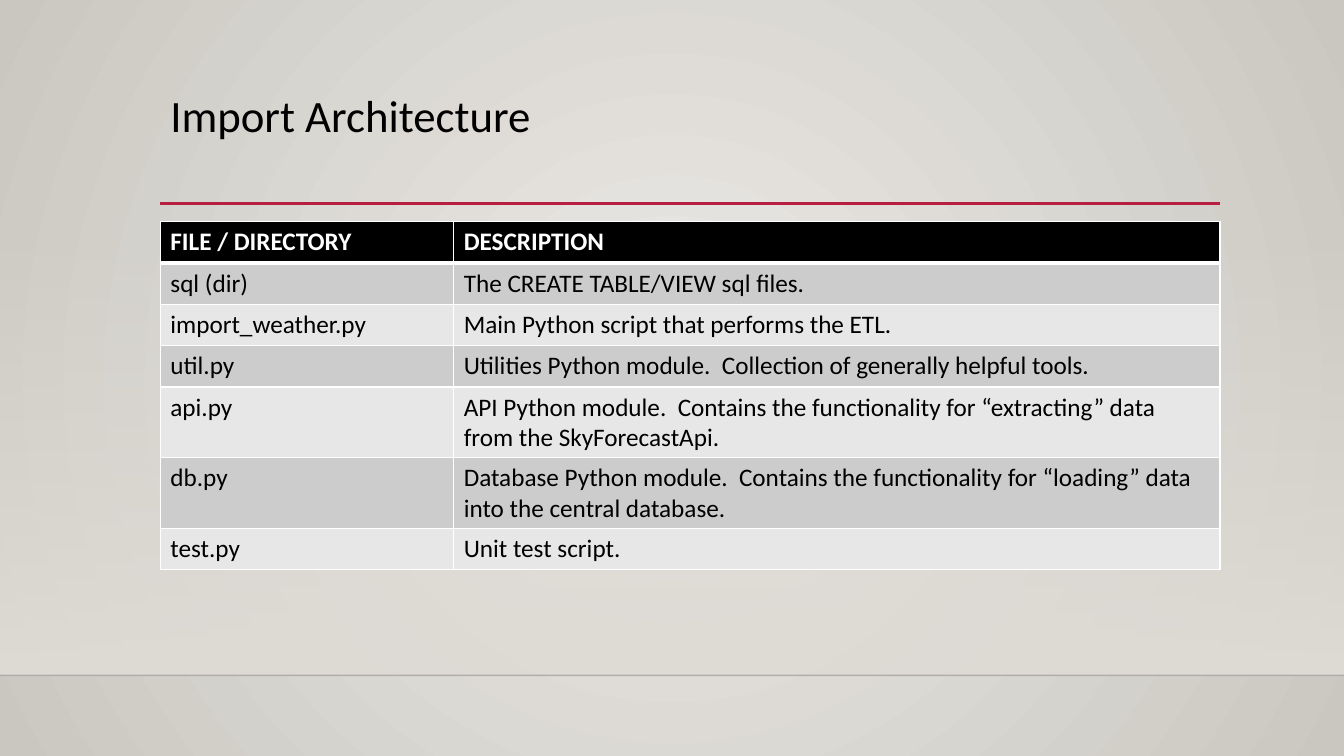
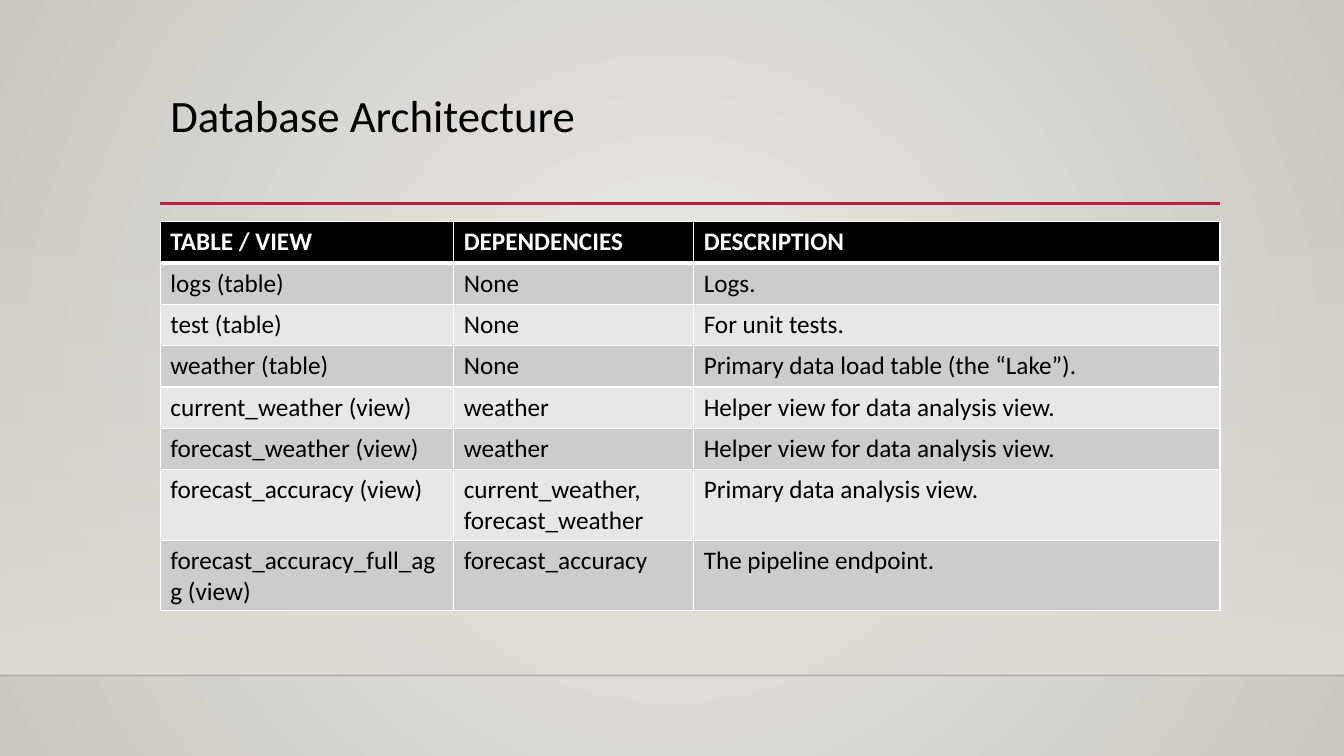
import pptx
import pptx.dml.color
import pptx.enum.shapes
import pptx.enum.text
import pptx.oxml
import pptx.oxml.ns
import pptx.util
from pptx.util import Inches

# Content
SLIDES = [
    {
        "title": "Import Architecture",
        "column_widths": [2.91, 7.6],
        "rows": [
            ("FILE / DIRECTORY", "DESCRIPTION"),
            ("sql (dir)", "The CREATE TABLE/VIEW sql files."),
            ("import_weather.py", "Main Python script that performs the ETL."),
            ("util.py", "Utilities Python module.  Collection of generally helpful tools."),
            ("api.py", "API Python module.  Contains the functionality for “extracting” "
                       "data from the SkyForecastApi."),
            ("db.py", "Database Python module.  Contains the functionality for “loading” "
                      "data into the central database."),
            ("test.py", "Unit test script."),
        ],
    },
    {
        "title": "Database Architecture",
        "column_widths": [2.91, 2.38, 5.22],
        "rows": [
            ("TABLE / VIEW", "DEPENDENCIES", "DESCRIPTION"),
            ("logs (table)", "None", "Logs."),
            ("test (table)", "None", "For unit tests."),
            ("weather (table)", "None", "Primary data load table (the “Lake”)."),
            ("current_weather (view)", "weather", "Helper view for data analysis view."),
            ("forecast_weather (view)", "weather", "Helper view for data analysis view."),
            ("forecast_accuracy (view)", "current_weather, forecast_weather",
             "Primary data analysis view."),
            ("forecast_accuracy_full_agg (view)", "forecast_accuracy", "The pipeline endpoint."),
        ],
    },
]

# Shared style
FONT = "Calibri"
BLACK, WHITE, RED = "000000", "FFFFFF", "B71E42"
BACKGROUND = ("ECEAE7", "CAC7C1")
BAND = "DFDBD5"
ROW_FILLS = ("E7E7E7", "CCCCCC")
SLIDE_WIDTH, SLIDE_HEIGHT = 13.33, 7.5
LEFT, CONTENT_WIDTH = 1.59, 10.51
TITLE_TOP, TITLE_HEIGHT, RULE_TOP = 0.88, 1.15, 2.02
TABLE_TOP, ROW_HEIGHT = 2.2, 0.41
BAND_TOP, BAND_BOTTOM = 2.21, 6.7


def color(value):
    return pptx.dml.color.RGBColor.from_string(value)


def element(markup):
    namespaces = pptx.oxml.ns.nsdecls("a")
    return pptx.oxml.parse_xml(markup.replace(">", f" {namespaces}>", 1)
                               if "/>" not in markup.split(">")[0] + ">"
                               else markup.replace("/>", f" {namespaces}/>", 1))


def set_alpha(color_parent, percent):
    for rgb in color_parent.iter(pptx.oxml.ns.qn("a:srgbClr")):
        rgb.append(element(f'<a:alpha val="{percent * 1000}"/>'))


def set_gradient(fill, start, end):
    fill.gradient()
    for stop, position, value in zip(fill.gradient_stops, (0, 1), (start, end)):
        stop.position = position
        stop.color.rgb = color(value)


def format_text(paragraph, size, value, bold=False):
    for run in paragraph.runs:
        run.font.name = FONT
        run.font.size = pptx.util.Pt(size)
        run.font.bold = bold
        run.font.color.rgb = color(value)


def paint_background(master):
    fill = master.background.fill
    set_gradient(fill, *BACKGROUND)
    linear = next(master.element.cSld.iter(pptx.oxml.ns.qn("a:lin")))
    linear.getparent().replace(linear, element(
        '<a:path path="circle">'
        '<a:fillToRect l="50000" t="50000" r="50000" b="50000"/></a:path>'))


def add_rule(slide, left, top, width, value, weight, alpha=100):
    rule = slide.shapes.add_connector(
        pptx.enum.shapes.MSO_CONNECTOR.STRAIGHT,
        Inches(left), Inches(top), Inches(left + width), Inches(top))
    rule.line.color.rgb = color(value)
    rule.line.width = pptx.util.Pt(weight)
    properties = rule.element.spPr
    if alpha < 100:
        set_alpha(properties, alpha)
    properties.append(element("<a:effectLst/>"))


def add_frame(slide, title):
    # Band that fades in towards the floor line
    band = slide.shapes.add_shape(
        pptx.enum.shapes.MSO_SHAPE.RECTANGLE, 0, Inches(BAND_TOP),
        Inches(SLIDE_WIDTH), Inches(BAND_BOTTOM - BAND_TOP))
    band.shadow.inherit = False
    band.line.fill.background()
    set_gradient(band.fill, BAND, BAND)
    band.fill.gradient_angle = 270
    first_stop = next(band.element.spPr.iter(pptx.oxml.ns.qn("a:gs")))
    set_alpha(first_stop, 0)
    add_rule(slide, 0, BAND_BOTTOM, SLIDE_WIDTH, BLACK, 1, alpha=20)

    # Title and its rule
    add_rule(slide, LEFT, RULE_TOP, CONTENT_WIDTH, RED, 2.5)
    box = slide.shapes.add_textbox(Inches(LEFT), Inches(TITLE_TOP),
                                   Inches(CONTENT_WIDTH), Inches(TITLE_HEIGHT))
    frame = box.text_frame
    frame.word_wrap = True
    frame.vertical_anchor = pptx.enum.text.MSO_ANCHOR.TOP
    frame.text = title
    frame.paragraphs[0].line_spacing = 0.9
    format_text(frame.paragraphs[0], 32, BLACK)


def set_borders(cell, top, bottom):
    properties = cell._tc.get_or_add_tcPr()
    for side, weight in (("L", 1), ("R", 1), ("T", top), ("B", bottom)):
        properties.append(element(
            f'<a:ln{side} w="{pptx.util.Pt(weight)}"><a:solidFill>'
            f'<a:srgbClr val="{WHITE}"/></a:solidFill></a:ln{side}>'))


def add_grid(slide, rows, column_widths):
    table = slide.shapes.add_table(
        len(rows), len(column_widths), Inches(LEFT), Inches(TABLE_TOP),
        Inches(sum(column_widths)), Inches(ROW_HEIGHT * len(rows))).table
    for column, width in zip(table.columns, column_widths):
        column.width = Inches(width)
    for row_index, texts in enumerate(rows):
        header = row_index == 0
        table.rows[row_index].height = Inches(ROW_HEIGHT)
        for column_index, text in enumerate(texts):
            cell = table.cell(row_index, column_index)
            set_borders(cell, top=3 if row_index == 1 else 1, bottom=3 if header else 1)
            cell.fill.solid()
            cell.fill.fore_color.rgb = color(BLACK if header else ROW_FILLS[row_index % 2])
            cell.text_frame.text = text
            format_text(cell.text_frame.paragraphs[0], 18,
                        WHITE if header else BLACK, bold=header)


def main():
    presentation = pptx.Presentation()
    presentation.slide_width = Inches(SLIDE_WIDTH)
    presentation.slide_height = Inches(SLIDE_HEIGHT)
    paint_background(presentation.slide_master)
    blank_layout = presentation.slide_layouts[6]
    for content in SLIDES:
        slide = presentation.slides.add_slide(blank_layout)
        add_frame(slide, content["title"])
        add_grid(slide, content["rows"], content["column_widths"])
    presentation.save("out.pptx")


if __name__ == "__main__":
    main()
